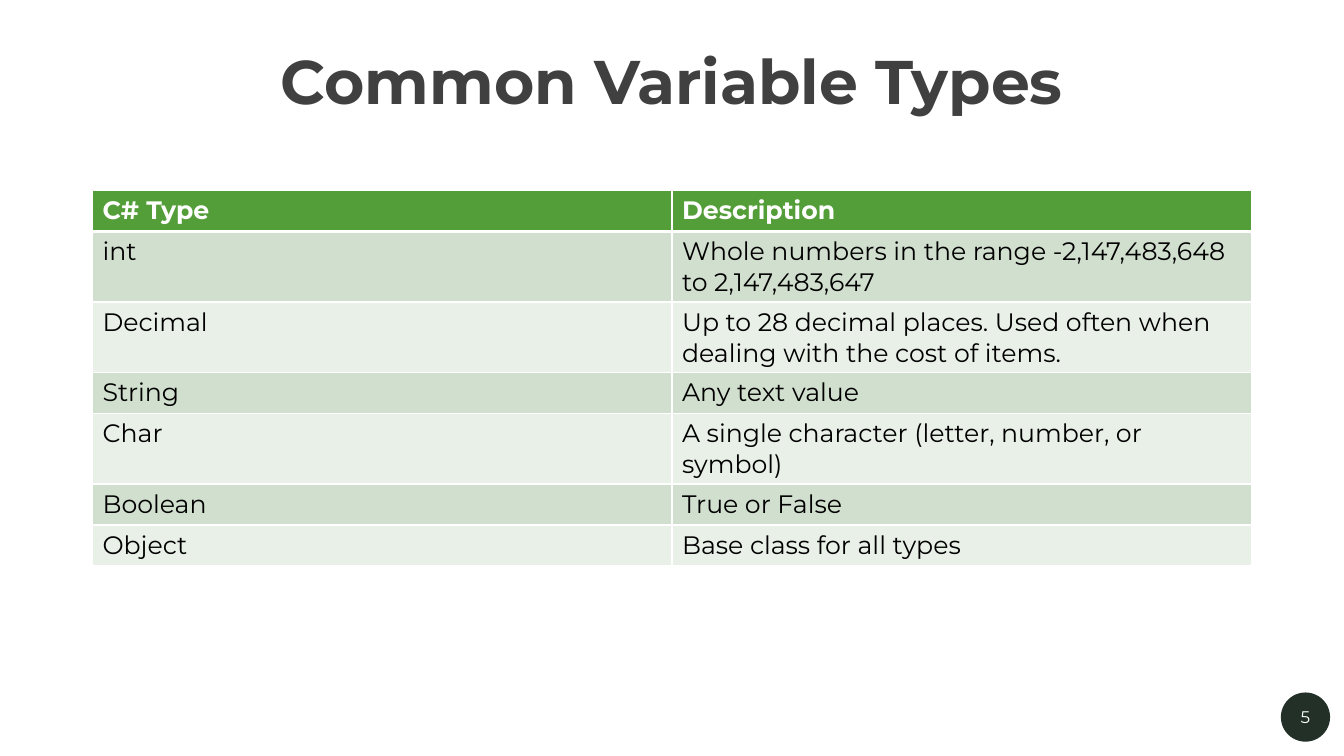
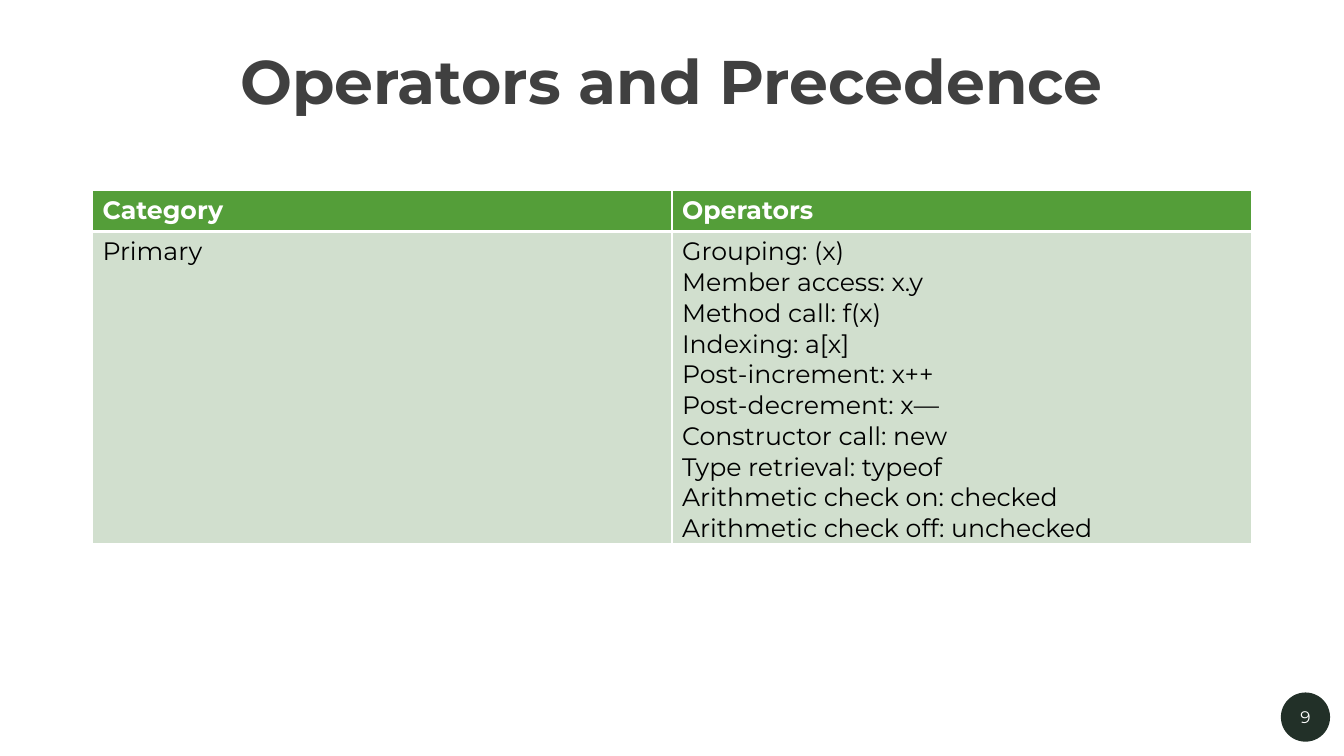
from lxml.etree import SubElement
from pptx import Presentation
from pptx.dml.color import RGBColor
from pptx.enum.shapes import MSO_SHAPE as Shape
from pptx.enum.text import MSO_ANCHOR as Anchor, PP_ALIGN as Align
from pptx.oxml.ns import qn
from pptx.util import Cm, Pt

# Content: title, page number, table rows (header first)
SLIDES = [
    ("Common Variable Types", 5, [
        ("C# Type", "Description"),
        ("int", "Whole numbers in the range -2,147,483,648 to 2,147,483,647"),
        ("Decimal", "Up to 28 decimal places. Used often when dealing with the cost of items."),
        ("String", "Any text value"),
        ("Char", "A single character (letter, number, or symbol)"),
        ("Boolean", "True or False"),
        ("Object", "Base class for all types"),
    ]),
    ("Operators and Precedence", 9, [
        ("Category", "Operators"),
        ("Primary", "\n".join([
            "Grouping: (x)",
            "Member access: x.y",
            "Method call: f(x)",
            "Indexing: a[x]",
            "Post-increment: x++",
            "Post-decrement: x—",
            "Constructor call: new",
            "Type retrieval: typeof",
            "Arithmetic check on: checked",
            "Arithmetic check off: unchecked",
        ])),
    ]),
]

# Shared style
FONT = "Montserrat"
WHITE = RGBColor(0xFF, 0xFF, 0xFF)
BLACK = RGBColor(0x00, 0x00, 0x00)
TITLE_GREY = RGBColor(0x40, 0x40, 0x40)
BADGE_GREEN = RGBColor(0x22, 0x30, 0x28)
HEADER_GREEN = RGBColor(0x54, 0x9E, 0x39)
BANDS = [RGBColor(0xD1, 0xDF, 0xCE), RGBColor(0xE9, 0xF0, 0xE8)]

# Shared geometry
PAGE_WIDTH, PAGE_HEIGHT = Cm(33.87), Cm(19.05)
CONTENT_WIDTH = Cm(29.21)
MARGIN = (PAGE_WIDTH - CONTENT_WIDTH) // 2
TITLE_TOP, TITLE_HEIGHT = Cm(0.97), Cm(2.31)
TABLE_TOP, ROW_HEIGHT = Cm(4.8), Cm(1.03)
BADGE_LEFT, BADGE_TOP, BADGE_SIZE = Cm(32.28), Cm(17.45), Cm(1.24)
NUMBER_WIDTH, NUMBER_HEIGHT = Cm(1.68), Cm(1.02)
THIN, THICK = Pt(1), Pt(3)


def style_text(frame, size, color, bold=False, align=Align.LEFT):
    for para in frame.paragraphs:
        para.alignment = align
        para.font.name = FONT
        para.font.size = Pt(size)
        para.font.bold = bold
        para.font.color.rgb = color


def add_text(page, text, left, top, width, height, size, color, bold=False):
    box = page.shapes.add_textbox(left, top, width, height)
    frame = box.text_frame
    frame.word_wrap = True
    frame.vertical_anchor = Anchor.MIDDLE
    frame.text = text
    style_text(frame, size, color, bold, Align.CENTER)
    return frame


def add_borders(cell, top, bottom):
    properties = cell._tc.get_or_add_tcPr()
    for side, width in (("L", THIN), ("R", THIN), ("T", top), ("B", bottom)):
        line = SubElement(properties, qn(f"a:ln{side}"), w=str(width))
        fill = SubElement(line, qn("a:solidFill"))
        SubElement(fill, qn("a:srgbClr"), val=str(WHITE))


def add_table(page, rows):
    columns = len(rows[0])
    table = page.shapes.add_table(len(rows), columns, MARGIN, TABLE_TOP,
                                  CONTENT_WIDTH, ROW_HEIGHT * len(rows)).table
    for row, texts in enumerate(rows):
        header = row == 0
        for column, text in enumerate(texts):
            cell = table.cell(row, column)
            cell.text = text
            style_text(cell.text_frame, 18, WHITE if header else BLACK, header)
            # The rule under the header is thicker than the others
            add_borders(cell, THICK if row == 1 else THIN, THICK if header else THIN)
            cell.fill.solid()
            cell.fill.fore_color.rgb = HEADER_GREEN if header else BANDS[(row - 1) % 2]


def add_page_number(page, number):
    badge = page.shapes.add_shape(Shape.OVAL, BADGE_LEFT, BADGE_TOP, BADGE_SIZE, BADGE_SIZE)
    badge.shadow.inherit = False
    badge.fill.solid()
    badge.fill.fore_color.rgb = BADGE_GREEN
    badge.line.fill.background()
    add_text(page, str(number),
             BADGE_LEFT + (BADGE_SIZE - NUMBER_WIDTH) // 2,
             BADGE_TOP + (BADGE_SIZE - NUMBER_HEIGHT) // 2,
             NUMBER_WIDTH, NUMBER_HEIGHT, 12, WHITE)


# Build the deck
deck = Presentation()
deck.slide_width, deck.slide_height = PAGE_WIDTH, PAGE_HEIGHT
for title, number, rows in SLIDES:
    page = deck.slides.add_slide(deck.slide_layouts[6])
    heading = add_text(page, title, MARGIN, TITLE_TOP, CONTENT_WIDTH, TITLE_HEIGHT,
                       44, TITLE_GREY, bold=True)
    heading.paragraphs[0].line_spacing = 0.9
    add_table(page, rows)
    add_page_number(page, number)
deck.save("out.pptx")
